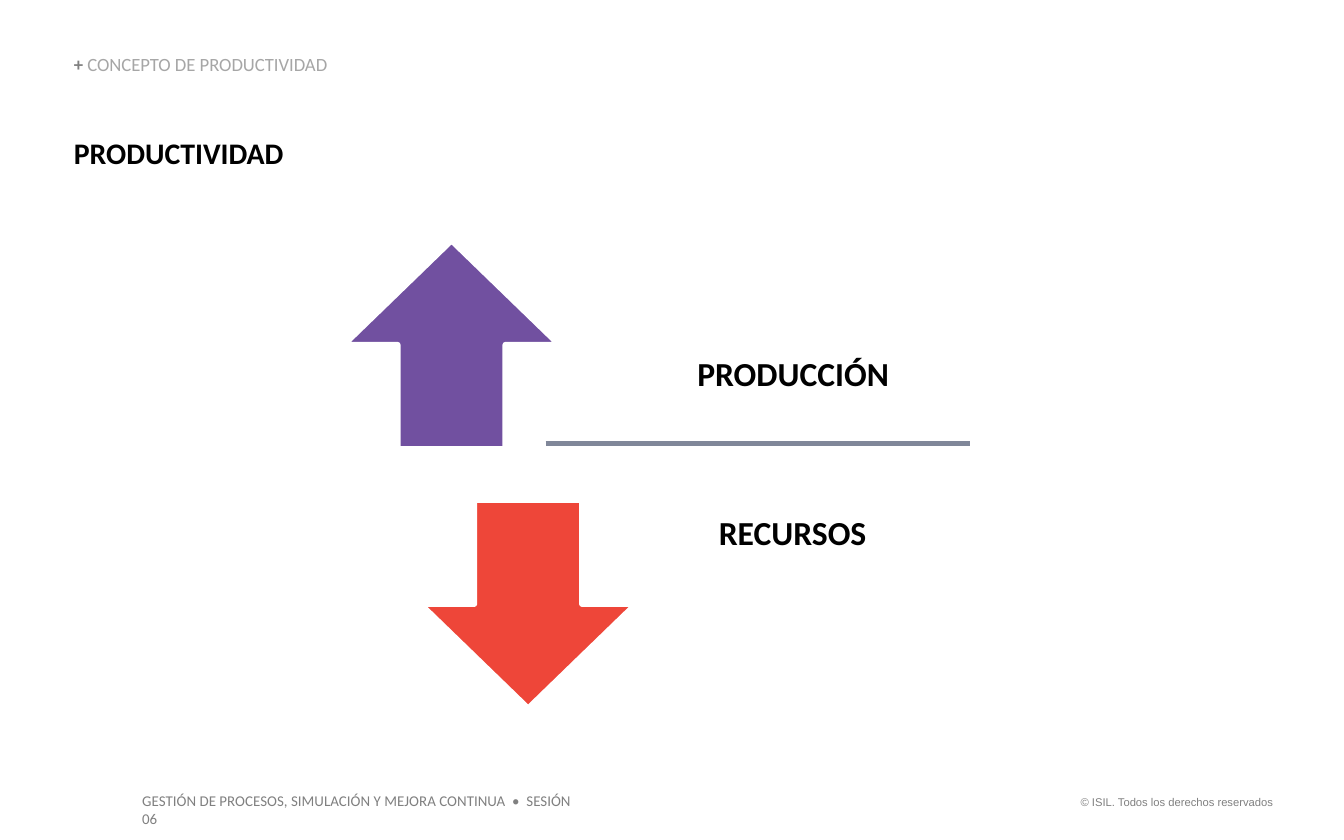
from lxml import etree
from pptx import Presentation
from pptx.dml.color import RGBColor
from pptx.enum.shapes import MSO_CONNECTOR as CONNECTOR, MSO_SHAPE as SHAPE
from pptx.enum.text import MSO_ANCHOR as ANCHOR, MSO_AUTO_SIZE as AUTO, PP_ALIGN as ALIGN
from pptx.oxml.ns import qn
from pptx.util import Pt

PX = 9144  # 100 px to the inch
COLORS = {
    "black": "000000", "gray": "808080", "light": "A6A6A6", "white": "FFFFFF",
    "purple": "7150A0", "red": "EE4639", "rule": "808799",
}


def color(name):
    return RGBColor.from_string(COLORS[name])


def write(shape, box, runs, frame_format, line_spacing=1.0, align=ALIGN.LEFT):
    """Place a text shape; runs are (text, font, size, bold, color)."""
    shape.left, shape.top, shape.width, shape.height = [value * PX for value in box]
    frame = shape.text_frame
    for name, value in frame_format.items():
        setattr(frame, name, value)
    paragraph = frame.paragraphs[0]
    paragraph.alignment = align
    paragraph.line_spacing = line_spacing
    paragraph.space_before = Pt(0)
    for text, font, size, bold, font_color in runs:
        run = paragraph.add_run()
        run.text = text
        for name, value in {"name": font, "size": Pt(size), "bold": bold}.items():
            setattr(run.font, name, value)
        run.font.color.rgb = color(font_color)


presentation = Presentation()
presentation.slide_width, presentation.slide_height = 1000 * PX, 625 * PX
slide = presentation.slides.add_slide(presentation.slide_layouts[5])

LABEL = {"word_wrap": False, "auto_size": AUTO.NONE, "vertical_anchor": ANCHOR.TOP}
WRAPPED = {**LABEL, "word_wrap": True}
FLUSH = {**WRAPPED, "margin_left": 0, "margin_top": 0, "margin_right": 0, "margin_bottom": 0}

# Title
write(slide.shapes.title, (55, 100, 886, 27),
      [("PRODUCTIVIDAD", "Calibri", 16, True, "black")], FLUSH)

# Footer, section heading and the two terms of the ratio
texts = [
    ((788, 587, 169, 20), [("© ISIL. Todos los derechos reservados", "Arial", 6, False, "gray")],
     LABEL, 1.0, ALIGN.RIGHT),
    ((96, 584, 353, 24),
     [("GESTIÓN DE PROCESOS, SIMULACIÓN Y MEJORA CONTINUA  •  SESIÓN 06",
       "Calibri", 8, False, "gray")], WRAPPED, 1.0, ALIGN.LEFT),
    ((55, 41, 303, 15),
     [("+ ", "Calibri", 10, True, "gray"),
      ("CONCEPTO DE PRODUCTIVIDAD", "Calibri", 10, False, "light")],
     {**FLUSH, "vertical_anchor": ANCHOR.BOTTOM}, 0.9, ALIGN.LEFT),
    ((509, 261, 164, 37), [("PRODUCCIÓN", "Calibri", 18, True, "black")], LABEL, 0.9, ALIGN.LEFT),
    ((525, 379, 131, 37), [("RECURSOS", "Calibri", 18, True, "black")], LABEL, 0.9, ALIGN.LEFT),
]
for box, runs, frame_format, line_spacing, align in texts:
    write(slide.shapes.add_textbox(0, 0, 0, 0), box, runs, frame_format, line_spacing, align)

# Up and down arrows
for kind, left, top, fill in [(SHAPE.UP_ARROW, 256, 179, "purple"),
                              (SHAPE.DOWN_ARROW, 313, 372, "red")]:
    arrow = slide.shapes.add_shape(kind, left * PX, top * PX, 160 * PX, 155 * PX)
    arrow.shadow.inherit = False
    arrow.fill.solid()
    arrow.fill.fore_color.rgb = color(fill)
    arrow.line.color.rgb = color("white")
    arrow.line.width = Pt(3)

# Fraction bar
bar = slide.shapes.add_connector(CONNECTOR.STRAIGHT, 406 * PX, 330 * PX, 722 * PX, 330 * PX)
bar.line.color.rgb = color("rule")
bar.line.width = Pt(2.25)
etree.SubElement(bar._element.spPr, qn("a:effectLst"))

presentation.save("out.pptx")
